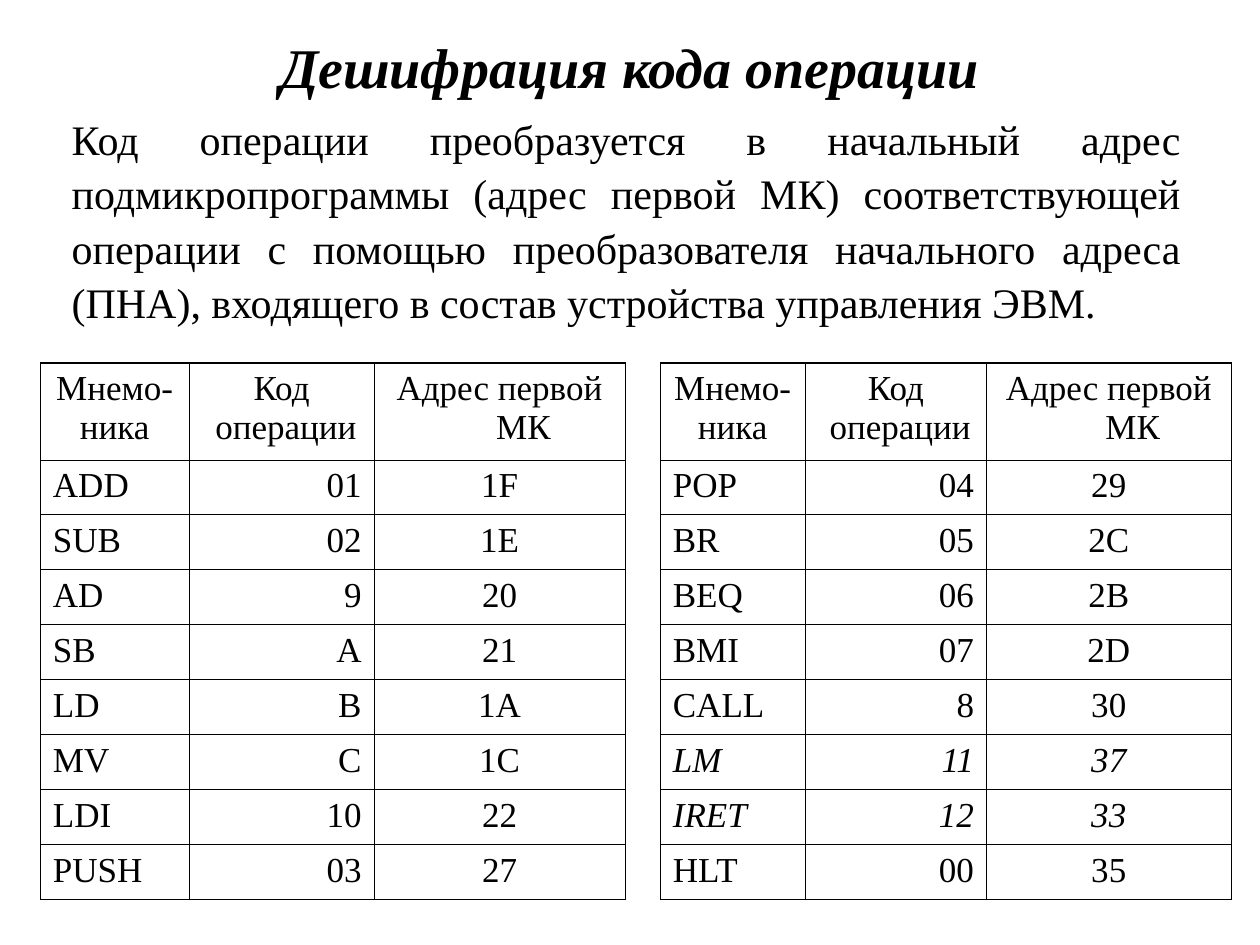
from lxml import etree
from pptx import Presentation
from pptx.dml.color import RGBColor
from pptx.enum.text import MSO_ANCHOR, PP_ALIGN
from pptx.oxml.ns import qn
from pptx.util import Inches, Pt

BLACK = RGBColor(0, 0, 0)
FONT = "Times New Roman"
LEFT, MID, RIGHT, FULL = PP_ALIGN.LEFT, PP_ALIGN.CENTER, PP_ALIGN.RIGHT, PP_ALIGN.JUSTIFY
MIDDLE = MSO_ANCHOR.MIDDLE
THIN, THICK = Pt(0.45), Pt(0.96)
TITLE = "Дешифрация кода операции"
BODY = (
    "Код операции преобразуется в начальный адрес подмикропрограммы "
    "(адрес первой МК) соответствующей операции с помощью преобразователя "
    "начального адреса (ПНА), входящего в состав устройства управления ЭВМ."
)
HEAD = ("Мнемо-\nника", "Код\n операции", "Адрес первой МК")
FIRST = [
    ("ADD", "01", "1F"), ("SUB", "02", "1E"), ("AD", "9", "20"), ("SB", "A", "21"),
    ("LD", "B", "1A"), ("MV", "C", "1C"), ("LDI", "10", "22"), ("PUSH", "03", "27"),
]
SECOND = [
    ("POP", "04", "29"), ("BR", "05", "2С"), ("BEQ", "06", "2B"), ("BMI", "07", "2D"),
    ("CALL", "8", "30"), ("LM", "11", "37"), ("IRET", "12", "33"), ("HLT", "00", "35"),
]
SLANTED = ("LM", "IRET")


def style(para, size, align, bold=False, italic=False):
    """Format a paragraph and its runs."""
    para.alignment = align
    for run in para.runs:
        font = run.font
        font.name, font.size = FONT, Pt(size)
        font.bold, font.italic = bold, italic
        font.color.rgb = BLACK


def add_text(slide, box, text, size, align, spacing=1.0, **look):
    """Place a wrapped, vertically centred text in the box."""
    frame = slide.shapes.add_textbox(*map(Inches, box)).text_frame
    frame.word_wrap = True
    frame.vertical_anchor = MIDDLE
    frame.text = text
    para = frame.paragraphs[0]
    para.line_spacing = spacing
    style(para, size, align, **look)


def add_edges(cell, top):
    """Draw black borders round a cell."""
    props = cell._tc.get_or_add_tcPr()
    widths = {"a:lnL": THIN, "a:lnR": THIN, "a:lnT": top, "a:lnB": THIN}
    for spot, (tag, width) in enumerate(widths.items()):
        line = etree.Element(qn(tag), w=str(width))
        fill = etree.SubElement(line, qn("a:solidFill"))
        etree.SubElement(fill, qn("a:srgbClr"), val=str(BLACK))
        props.insert(spot, line)


def fill_cell(cell, text, align, top, italic):
    """Write one table cell with hanging paragraphs."""
    cell.fill.background()
    add_edges(cell, top)
    cell.text_frame.text = text
    for para in cell.text_frame.paragraphs:
        props = para._p.get_or_add_pPr()
        props.set("marL", str(Inches(0.38)))
        props.set("indent", str(-Inches(0.38)))
        style(para, 20, align, italic=italic)


def add_codes(slide, box, widths, codes):
    """Place a table of operation codes in the box."""
    rows = [HEAD] + codes
    table = slide.shapes.add_table(len(rows), len(HEAD), *map(Inches, box)).table
    table.first_row = table.horz_banding = False
    for col, width in zip(table.columns, widths):
        col.width = Inches(width)
    top_high = 0.77
    row_high = (box[3] - top_high) / len(codes)
    for r, row in enumerate(rows):
        table.rows[r].height = Inches(row_high if r else top_high)
        aligns = (LEFT, RIGHT, MID) if r else (MID,) * 3
        for c, (text, align) in enumerate(zip(row, aligns)):
            edge = THIN if r else THICK
            fill_cell(table.cell(r, c), text, align, edge, row[0] in SLANTED)


def main():
    """Build and save the slide."""
    deck = Presentation()
    deck.slide_width, deck.slide_height = Inches(10), Inches(7.5)
    slide = deck.slides.add_slide(deck.slide_layouts[6])
    add_text(slide, (0.5, 0.17, 9, 0.71), TITLE, 32, MID, bold=True, italic=True)
    add_codes(slide, (0.32, 2.88, 4.64, 4.26), (1.18, 1.47, 1.99), FIRST)
    add_codes(slide, (5.24, 2.88, 4.53, 4.26), (1.15, 1.44, 1.94), SECOND)
    add_text(slide, (0.47, 0.99, 9, 1.48), BODY, 24, FULL, spacing=1.08)
    deck.save("out.pptx")


if __name__ == "__main__":
    main()
